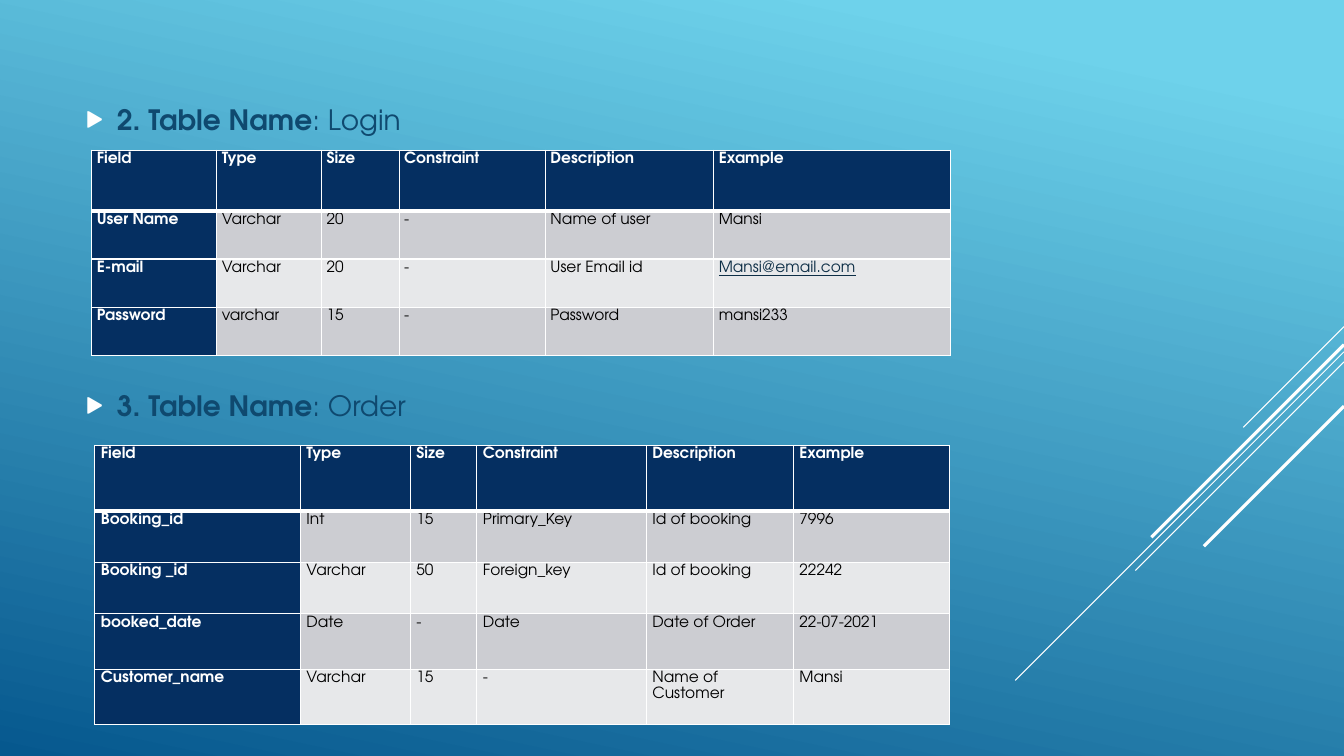
"""Build the slide with the Login and Order table definitions."""
from lxml import etree
from pptx import Presentation
from pptx.dml.color import RGBColor
from pptx.enum.text import MSO_ANCHOR as ANCHOR, MSO_AUTO_SIZE as AUTO_SIZE
from pptx.enum.text import PP_ALIGN as ALIGN
from pptx.enum.shapes import MSO_CONNECTOR as CONNECTOR
from pptx.oxml import parse_xml
from pptx.oxml.ns import nsdecls, qn
from pptx.util import Inches, Pt

FONT = "TeX Gyre Adventor"
WHITE = RGBColor(0xFF, 0xFF, 0xFF)
BLACK = RGBColor(0x00, 0x00, 0x00)
SKY = RGBColor(0x6E, 0xD2, 0xEB)
OCEAN = RGBColor(0x06, 0x58, 0x8E)
HEADING = RGBColor(0x0F, 0x49, 0x6F)
NAVY = RGBColor(0x05, 0x2F, 0x61)
GREY = RGBColor(0xCC, 0xCD, 0xD2)
PALE = RGBColor(0xE7, 0xE8, 0xEA)
LINK = RGBColor(0x0D, 0x2E, 0x46)

HEADER = ["Field", "Type", "Size", "Constraint", "Description", "Example"]
LOGIN = [
    HEADER,
    ["User Name", "Varchar", "20", "-", "Name of user", "Mansi"],
    ["E-mail", "Varchar", "20", "-", "User Email id", "Mansi@email.com"],
    ["Password", "varchar", "15", "-", "Password", "mansi233"],
]
ORDER = [
    HEADER,
    ["Booking_id", "Int", "15", "Primary_Key", "Id of booking", "7996"],
    ["Booking _id", "Varchar", "50", "Foreign_key", "Id of booking", "22242"],
    ["booked_date", "Date", "-", "Date", "Date of Order", "22-07-2021"],
    ["Customer_name", "Varchar", "15", "-", "Name of Customer", "Mansi"],
]


def style_run(r, size, color, bold):
    r.font.name = FONT
    r.font.size = Pt(size)
    r.font.color.rgb = color
    r.font.bold = bold


def add_field_table(s, left, top, widths, heights, inset, rows):
    frame = s.shapes.add_table(len(rows), len(widths), Inches(left), Inches(top),
                               Inches(sum(widths)), Inches(sum(heights)))
    table = frame.table
    for column, width in zip(table.columns, widths):
        column.width = Inches(width)
    for i, (row, height) in enumerate(zip(rows, heights)):
        table.rows[i].height = Inches(height)
        for j, text in enumerate(row):
            cell = table.cell(i, j)
            cell.margin_left = cell.margin_right = Inches(inset)
            cell.margin_top, cell.margin_bottom = Inches(0.01), 0
            is_head = i == 0 or j == 0
            cell.fill.solid()
            cell.fill.fore_color.rgb = NAVY if is_head else GREY if i % 2 else PALE
            cell.text_frame.text = text
            p = cell.text_frame.paragraphs[0]
            p.line_spacing = 1.07
            p.space_after = Pt(8)
            r = p.runs[0]
            style_run(r, 11, WHITE if is_head else BLACK, is_head)
            if "@" in text:
                r.font.color.rgb = LINK
                r.font.underline = True
            borders = {"lnL": 1, "lnR": 1, "lnT": 3 if i == 1 else 1, "lnB": 3 if i == 0 else 1}
            for k, (side, width) in enumerate(borders.items()):
                cell._tc.get_or_add_tcPr().insert(k, parse_xml(
                    f'<a:{side} {nsdecls("a")} w="{Pt(width)}"><a:solidFill>'
                    f'<a:srgbClr val="{WHITE}"/></a:solidFill></a:{side}>'))


prs = Presentation()
prs.slide_width, prs.slide_height = Inches(13.33), Inches(7.5)
s = prs.slides.add_slide(prs.slide_layouts[1])
s.shapes.title.element.getparent().remove(s.shapes.title.element)

fill = s.background.fill
fill.gradient()
fill.gradient_angle = 360 - 102
for stop, position, color in zip(fill.gradient_stops, (0.1, 1), (SKY, OCEAN)):
    stop.position = position
    stop.color.rgb = color

DIAGONALS = [(3.24, 1, 0.75), (3.49, 3.26, 0.75), (3.59, 2.07, 0.75),
             (3.42, 1.91, 2.25), (4.03, 1.39, 2.25)]
for top, span, weight in DIAGONALS:
    line = s.shapes.add_connector(CONNECTOR.STRAIGHT, Inches(13.33), Inches(top),
                                  Inches(13.33 - span), Inches(top + span))
    line.line.color.rgb = WHITE
    line.line.width = Pt(weight)
    etree.SubElement(line._element.spPr, qn("a:effectLst"))

body = s.placeholders[1]
body.left, body.top = Inches(0.75), Inches(0.75)
body.width, body.height = Inches(9.33), Inches(6.44)
tf = body.text_frame
tf.auto_size = AUTO_SIZE.NONE
tf.vertical_anchor = ANCHOR.TOP
tf.margin_top = Inches(0.27)
tf.text = "2. Table Name\n3. Table Name"
for p, name, gap in zip(tf.paragraphs, ("Login", "Order"), (0, 180)):
    p.add_run().text = f": {name}"
    for r, bold in zip(p.runs, (True, False)):
        style_run(r, 20, HEADING, bold)
    p.alignment = ALIGN.LEFT
    p.line_spacing = Pt(24)
    p.space_before = Pt(gap)
    p.space_after = Pt(0)
    pPr = p._p.get_or_add_pPr()
    pPr.set("marL", str(Inches(0.31)))
    pPr.set("indent", str(-Inches(0.31)))
    bullet = etree.SubElement(pPr, qn("a:buClr"))
    etree.SubElement(bullet, qn("a:srgbClr"), val=str(WHITE))
    etree.SubElement(pPr, qn("a:buSzPct"), val="80000")
    etree.SubElement(pPr, qn("a:buFont"), typeface=FONT)
    etree.SubElement(pPr, qn("a:buChar"), char="▶")

add_field_table(s, 0.91, 1.49, [1.24, 1.04, 0.77, 1.45, 1.67, 2.35],
                [0.6] + [0.48] * 3, 0.05, LOGIN)
add_field_table(s, 0.94, 4.42, [2.04, 1.09, 0.66, 1.68, 1.46, 1.55],
                [0.65, 0.51, 0.51, 0.55, 0.55], 0.06, ORDER)

prs.save("out.pptx")
